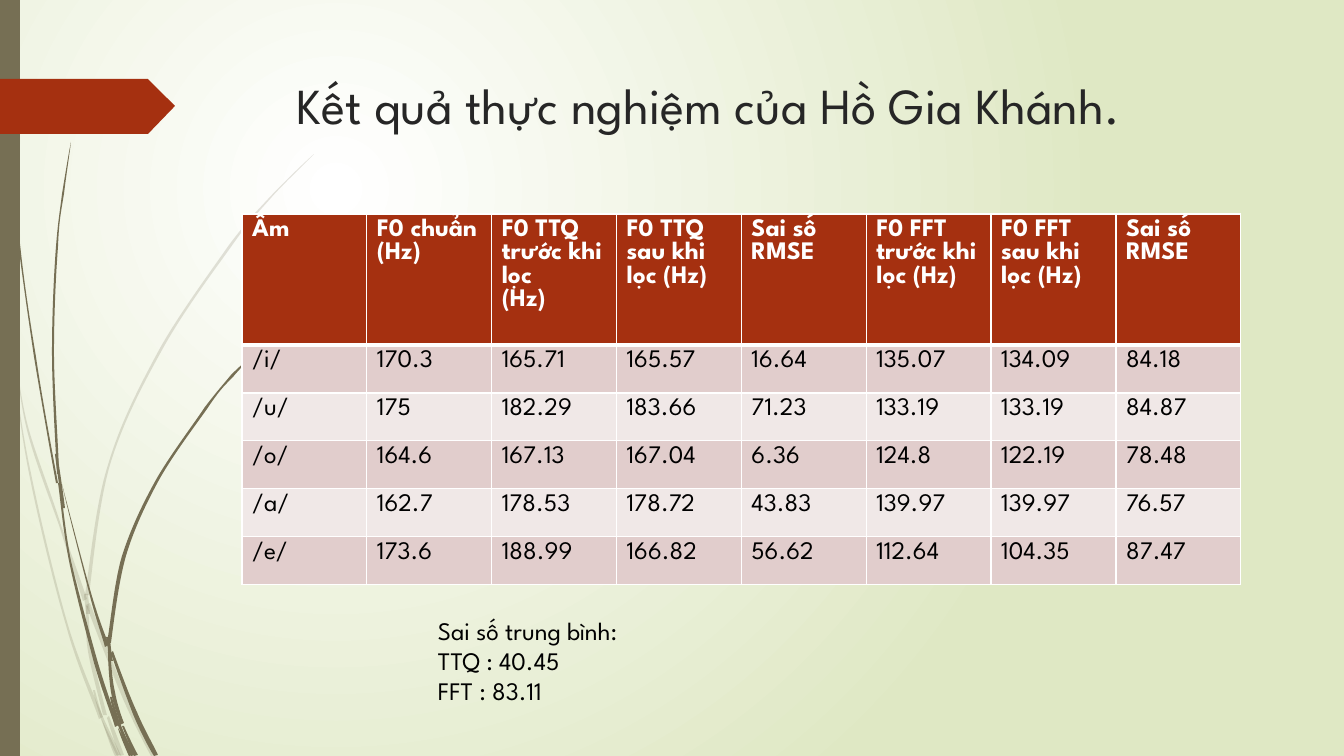
"""Build the slide of F0 measurement results with its table and grass decoration."""
import pptx
import pptx.dml.color
import pptx.enum.text
import pptx.oxml
import pptx.oxml.ns
import pptx.util
import lxml.etree

RGB = pptx.dml.color.RGBColor
WHITE, BLACK, CHARCOAL = RGB(255, 255, 255), RGB(0, 0, 0), RGB(0x26, 0x26, 0x26)
RUST, OLIVE, PALE_GREEN = RGB(0xA5, 0x30, 0x10), RGB(0x76, 0x6F, 0x54), RGB(0xDF, 0xE8, 0xC4)
ROSE, PALE_ROSE = RGB(0xE1, 0xCD, 0xCC), RGB(0xF0, 0xE8, 0xE7)

TITLE = "Kết quả thực nghiệm của Hồ Gia Khánh."
HEADER = ["Âm", "F0 chuẩn\n(Hz)", "F0 TTQ trước khi lọc\n(Hz)", "F0 TTQ sau khi lọc (Hz)",
          "Sai số RMSE", "F0 FFT trước khi lọc (Hz)", "F0 FFT sau khi lọc (Hz)", "Sai số RMSE"]
SOUNDS = [
    ["/i/", "170.3", "165.71", "165.57", "16.64", "135.07", "134.09", "84.18"],
    ["/u/", "175", "182.29", "183.66", "71.23", "133.19", "133.19", "84.87"],
    ["/o/", "164.6", "167.13", "167.04", "6.36", "124.8", "122.19", "78.48"],
    ["/a/", "162.7", "178.53", "178.72", "43.83", "139.97", "139.97", "76.57"],
    ["/e/", "173.6", "188.99", "166.82", "56.62", "112.64", "104.35", "87.47"],
]
AVERAGES = "Sai số trung bình:\nTTQ : 40.45\nFFT : 83.11"

PALE_BLADES = [
    (1.7, 0.5, [(0, 293), (11, 353)]),
    (0.5, 2, [(15, 357), (28, 430), (60, 525), (85, 600)]),
    (2, 2.5, [(88, 604), (125, 698), (153, 756)]),
    (1.5, 2.5, [(108, 717), (122, 756)]),
    (0.5, 2, [(11, 353), (30, 473), (67, 625), (101, 718)]),
    (0.5, 1.7, [(314, 154), (270, 198), (230, 246), (160, 351), (109, 465), (87, 595)]),
    (1.5, 2, [(87, 606), (90, 651), (105, 715)]),
    (0.5, 2.5, [(102, 720), (117, 756)]),
    (2, 2, [(86, 594), (88, 614)]),
    (1, 2, [(94, 690), (102, 718), (119, 756)]),
]
DARK_BLADES = [
    (0.5, 1, [(4, 0), (8, 110), (18, 234), (35, 357), (57, 483)]),
    (0.5, 2, [(62, 484), (91, 596), (107, 646)]),
    (1.5, 2.5, [(112, 652), (135, 713), (156, 756)]),
    (1, 2, [(59, 483), (70, 561), (96, 663), (117, 726)]),
    (0.3, 1.5, [(71, 142), (63, 194), (57, 247), (53, 352), (58, 474)]),
    (1, 1.7, [(123, 726), (136, 756)]),
    (1.5, 1.5, [(56, 454), (64, 508)]),
    (0.5, 2, [(262, 347), (232, 376), (206, 408), (158, 479), (124, 556), (109, 643)]),
    (0.5, 2, [(118, 728), (131, 756)]),
    (1.5, 2, [(109, 652), (113, 692), (122, 724)]),
    (2, 2, [(108, 637), (111, 661)]),
    (1, 2, [(111, 697), (119, 724), (133, 756)]),
]
STEM = [(0, 0), (20, 0), (20, 756), (0, 756)]
ARROW = [(0, 79), (148, 79), (175, 106), (148, 134), (0, 134)]

WIDTH, HEIGHT = 1344, 756
EMU_PER_PX = 12192000 / WIDTH
TITLE_BOX = (286, 69, 983, 141)
AVERAGES_BOX = (428, 610, 595, 102)
TABLE_LEFT, TABLE_TOP, TABLE_WIDTH, HEADER_HEIGHT, ROW_HEIGHT = 242, 214, 999, 131, 48
TAG = pptx.oxml.ns.qn


def px(length):
    return round(length * EMU_PER_PX)


def apply(target, **values):
    for name, value in values.items():
        setattr(target, name, value)


def write(frame, text, size, color, bold=False):
    frame.text = text
    for paragraph in frame.paragraphs:
        paragraph.alignment = pptx.enum.text.PP_ALIGN.LEFT
        apply(paragraph.font, name="League Spartan", size=pptx.util.Pt(size), bold=bold)
        paragraph.font.color.rgb = color


def curve(knots):
    """Return the first knot, then two handles and a knot for each smooth piece."""
    ends = [knots[0], *knots, knots[-1]]
    route = [knots[0]]
    for a, b, c, d in zip(ends, ends[1:], ends[2:], ends[3:]):
        route.append(tuple(q + (r - p) / 6 for p, q, r in zip(a, b, c)))
        route.append(tuple(q - (r - p) / 6 for p, q, r in zip(b, c, d)))
        route.append(c)
    return [(x, min(y, HEIGHT)) for x, y in route]


def blade(tip, root, centre):
    """Return both curved sides of a blade, from tip to root and back."""
    right, left = [], []
    last = len(centre) - 1
    for i, (x, y) in enumerate(centre):
        (x0, y0), (x1, y1) = centre[max(i - 1, 0)], centre[min(i + 1, last)]
        run, rise = x1 - x0, y1 - y0
        reach = (tip + (root - tip) * i / last) / (run ** 2 + rise ** 2) ** 0.5
        right.append((x + rise * reach, y - run * reach))
        left.append((x - rise * reach, y + run * reach))
    return curve(right) + curve(left[::-1])


def bend(shape):
    """Join the straight pieces of both sides, three by three, into Bezier curves."""
    outline = next(shape._element.iter(TAG("a:path")))
    lines = outline.findall(TAG("a:lnTo"))
    half = len(lines) // 2
    for side in (lines[:half], lines[half + 1:]):
        for start in range(0, half, 3):
            piece = side[start:start + 3]
            bezier = lxml.etree.Element(TAG("a:cubicBezTo"))
            piece[0].addprevious(bezier)
            for line in piece:
                bezier.append(line[0])
                outline.remove(line)


def draw(slide, outline, color, alpha=100):
    builder = slide.shapes.build_freeform(*outline[0], scale=EMU_PER_PX)
    builder.add_line_segments(outline[1:], close=True)
    shape = builder.convert_to_shape()
    shape.shadow.inherit = False
    shape.line.fill.background()
    shape.fill.solid()
    shape.fill.fore_color.rgb = color
    if alpha < 100:
        tint = next(shape._element.spPr.iter(TAG("a:srgbClr")))
        lxml.etree.SubElement(tint, TAG("a:alpha"), val=str(alpha * 1000))
    return shape


def paint_background(slide):
    fill = slide.background.fill
    fill.gradient()
    for stop, color, position in zip(fill.gradient_stops, (WHITE, PALE_GREEN), (0, 1)):
        stop.color.rgb = color
        stop.position = position
    gradient = next(slide.element.iter(TAG("a:gradFill")))
    gradient.replace(gradient.find(TAG("a:lin")), pptx.oxml.parse_xml(
        f'<a:path {pptx.oxml.ns.nsdecls("a")} path="circle">'
        '<a:fillToRect l="50000" t="50000" r="100000" b="100000"/></a:path>'))


def border(cell, bottom):
    properties = cell._tc.get_or_add_tcPr()
    for i, (side, points) in enumerate({"L": 1, "R": 1, "T": 1, "B": bottom}.items()):
        properties.insert(i, pptx.oxml.parse_xml(
            f'<a:ln{side} {pptx.oxml.ns.nsdecls("a")} w="{points * 12700}"><a:solidFill>'
            f'<a:srgbClr val="{WHITE}"/></a:solidFill></a:ln{side}>'))


def add_results(slide):
    rows = [HEADER, *SOUNDS]
    table = slide.shapes.add_table(
        len(rows), len(HEADER), px(TABLE_LEFT), px(TABLE_TOP), px(TABLE_WIDTH),
        px(HEADER_HEIGHT + ROW_HEIGHT * len(SOUNDS))).table
    for r, values in enumerate(rows):
        heading = r == 0
        table.rows[r].height = px(HEADER_HEIGHT if heading else ROW_HEIGHT)
        for c, value in enumerate(values):
            cell = table.cell(r, c)
            write(cell.text_frame, value, 18, WHITE if heading else BLACK, heading)
            cell.fill.solid()
            cell.fill.fore_color.rgb = RUST if heading else (PALE_ROSE, ROSE)[r % 2]
            border(cell, 3 if heading else 1)


def main():
    deck = pptx.Presentation()
    apply(deck, slide_width=px(WIDTH), slide_height=px(HEIGHT))
    slide = deck.slides.add_slide(deck.slide_layouts[5])
    paint_background(slide)
    for blades, alpha in ((PALE_BLADES, 20), (DARK_BLADES, 100)):
        for shape in blades:
            bend(draw(slide, blade(*shape), OLIVE, alpha))
    draw(slide, STEM, OLIVE)
    draw(slide, ARROW, RUST)

    heading = slide.shapes.title
    apply(heading, **dict(zip(("left", "top", "width", "height"), map(px, TITLE_BOX))))
    averages = slide.shapes.add_textbox(*map(px, AVERAGES_BOX))
    for part, text, size, color in ((heading, TITLE, 36, CHARCOAL), (averages, AVERAGES, 18, BLACK)):
        apply(part.text_frame, word_wrap=True, auto_size=pptx.enum.text.MSO_AUTO_SIZE.NONE,
              vertical_anchor=pptx.enum.text.MSO_ANCHOR.TOP)
        write(part.text_frame, text, size, color)
    add_results(slide)
    deck.save("out.pptx")


if __name__ == "__main__":
    main()
